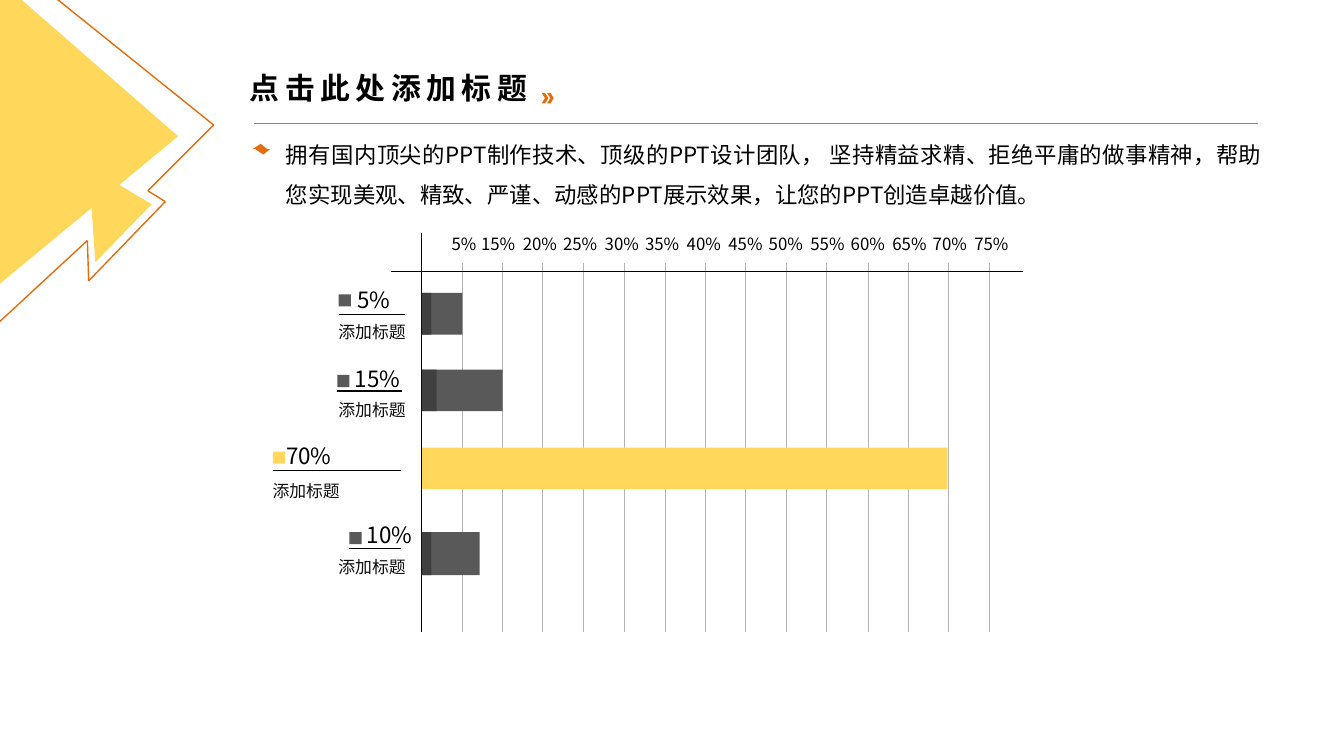
import itertools

import lxml.etree
import pptx
import pptx.dml.color
import pptx.enum.shapes
import pptx.enum.text
import pptx.oxml.ns
import pptx.util

PX = 9144
FONT = "Noto Sans CJK SC"
HAIRLINE = 0.01
COLORS = {
    "orange": "E46C0A",
    "yellow": "FFD85B",
    "gray": "595959",
    "dark": "404040",
    "grid": "B5B5B6",
    "black": "000000",
    "caption": "0D0D0D",
}
SHAPES = pptx.enum.shapes.MSO_SHAPE


def px(*lengths):
    return [pptx.util.Emu(length * PX) for length in lengths]


def rgb(color):
    return pptx.dml.color.RGBColor.from_string(COLORS[color])


def paint(shape, color):
    shape.shadow.inherit = False
    shape.fill.solid()
    shape.fill.fore_color.rgb = rgb(color)
    shape.line.fill.background()
    return shape


def add_block(slide, box, color, preset=SHAPES.RECTANGLE):
    return paint(slide.shapes.add_shape(preset, *px(*box)), color)


def add_outline(slide, points, color):
    builder = slide.shapes.build_freeform(*points[0], scale=PX)
    builder.add_line_segments(points[1:], close=True)
    return paint(builder.convert_to_shape(), color)


def add_rule(slide, start, end, color, width=0.75):
    rule = slide.shapes.add_connector(
        pptx.enum.shapes.MSO_CONNECTOR.STRAIGHT, *px(*start, *end))
    rule.line.color.rgb = rgb(color)
    rule.line.width = pptx.util.Pt(width)
    lxml.etree.SubElement(rule._element.spPr, pptx.oxml.ns.qn("a:effectLst"))


def add_text(slide, box, words, size, color="black", wrap=True, inset=True,
             bold=False, tracking=0, spacing=None, align=None):
    textbox = slide.shapes.add_textbox(*px(*box))
    frame = textbox.text_frame
    frame.word_wrap = wrap
    frame.auto_size = pptx.enum.text.MSO_AUTO_SIZE.SHAPE_TO_FIT_TEXT
    if not inset:
        frame.margin_left = frame.margin_right = 0
        frame.margin_top = frame.margin_bottom = 0
    paragraph = frame.paragraphs[0]
    paragraph.alignment = align
    paragraph.line_spacing = spacing
    run = paragraph.add_run()
    run.text = words
    run.font.size = pptx.util.Pt(size)
    run.font.bold = bold
    run.font.color.rgb = rgb(color)
    run.font.name = FONT
    properties = run.font._element
    east_asian = lxml.etree.SubElement(properties, pptx.oxml.ns.qn("a:ea"))
    east_asian.set("typeface", FONT)
    if tracking:
        properties.set("spc", str(tracking * 100))


def add_header(slide, left, top):
    for offset in (227, 231):
        add_block(slide, (left + offset, top + 22, 5, 8), "orange", SHAPES.CHEVRON)
    add_text(slide, (left, top, 232, 37), "点击此处添加标题", 16,
             bold=True, tracking=3)
    add_rule(slide, (left + 13, top + 45), (left + 760, top + 45), "orange")


def add_intro(slide, left, top):
    diamond = [(6, 17), (11, 21), (13, 21), (8, 25), (2, 21), (0, 21)]
    add_outline(slide, [(left + x, top + y) for x, y in diamond], "orange")
    add_text(
        slide, (left + 15, top, 746, 71),
        "拥有国内顶尖的PPT制作技术、顶级的PPT设计团队， 坚持精益求精、拒绝平庸的做事精神，"
        "帮助您实现美观、精致、严谨、动感的PPT展示效果，让您的PPT创造卓越价值。",
        12, spacing=1.5, align=pptx.enum.text.PP_ALIGN.JUSTIFY)


def add_axes(slide, left, top):
    for index in range(14):
        x = left + 151 + round(index * 392 / 13)
        add_rule(slide, (x, top + 22), (x, top + 296), "grid", HAIRLINE)
    add_rule(slide, (left + 98, top + 28), (left + 568, top + 28), "black", HAIRLINE)
    add_rule(slide, (left + 121, top), (left + 121, top + 296), "black", HAIRLINE)
    add_text(slide, (left + 143, top, 19, 15), "5%", 9, wrap=False, inset=False)
    for index, percent in enumerate(range(15, 80, 5)):
        x = left + 165 + round(index * 367 / 12)
        add_text(slide, (x, top, 26, 15), f"{percent}%", 9, wrap=False, inset=False)


def add_bar_row(slide, left, top, percent, color, marker, rule_length, rule_y,
                value, caption, bar, shade):
    marker_x, marker_y = left + marker[0], top + marker[1]
    add_block(slide, (marker_x, marker_y, 9, 9), color)
    add_rule(slide, (marker_x, top + rule_y),
             (marker_x + rule_length, top + rule_y), "black")
    add_text(slide, (left + value[0], top + value[1], value[2], 30),
             f"{percent}%", 12, wrap=False)
    add_text(slide, (left + caption[0], top + caption[1], 90, 33),
             "添加标题", 9, "caption", spacing=1.5)
    bar_y, length, height = bar
    add_block(slide, (left + 121, top + bar_y, length, height), color)
    if shade:
        add_block(slide, (left + 121, top + bar_y, shade, height), "dark")


def add_bar_chart(slide, left, top):
    add_axes(slide, left, top)
    rows = [
        (5, "gray", (59, 45), 49, 60, (63, 34, 45), (49, 53), (44, 30, 31), 7),
        (15, "gray", (58, 105), 48, 117, (61, 93, 55), (49, 111), (101, 60, 31), 11),
        (70, "yellow", (10, 162), 95, 176, (10, 150, 55), (0, 171), (159, 391, 31), 0),
        (10, "gray", (67, 222), 38, 234, (70, 209, 55), (49, 228), (222, 43, 32), 7),
    ]
    for row in rows:
        add_bar_row(slide, left, top, *row)


def add_corner_arrow(slide, left, top):
    head = add_block(slide, (left - 47, top + 32, 226, 133), "yellow",
                     SHAPES.ISOSCELES_TRIANGLE)
    head.adjustments[0] = 0.513
    head.rotation = 90
    tail = [(71, 195), (113, 152), (66, 124)]
    add_outline(slide, [(left + x, top + y) for x, y in tail], "yellow")
    edge = [(1, -34), (159, 93), (110, 142), (123, 150), (66, 209), (65, 179), (-1, 240)]
    corners = [(left + x, top + y) for x, y in edge]
    for start, end in itertools.pairwise(corners):
        add_rule(slide, start, end, "orange")


def main():
    deck = pptx.Presentation()
    deck.slide_width = pptx.util.Emu(1000 * PX)
    deck.slide_height = pptx.util.Emu(deck.slide_width * 9 // 16)
    slide = deck.slides.add_slide(deck.slide_layouts[6])
    add_header(slide, 176, 47)
    add_intro(slide, 188, 90)
    add_bar_chart(slide, 193, 174)
    add_corner_arrow(slide, 0, 0)
    deck.save("out.pptx")


if __name__ == "__main__":
    main()
